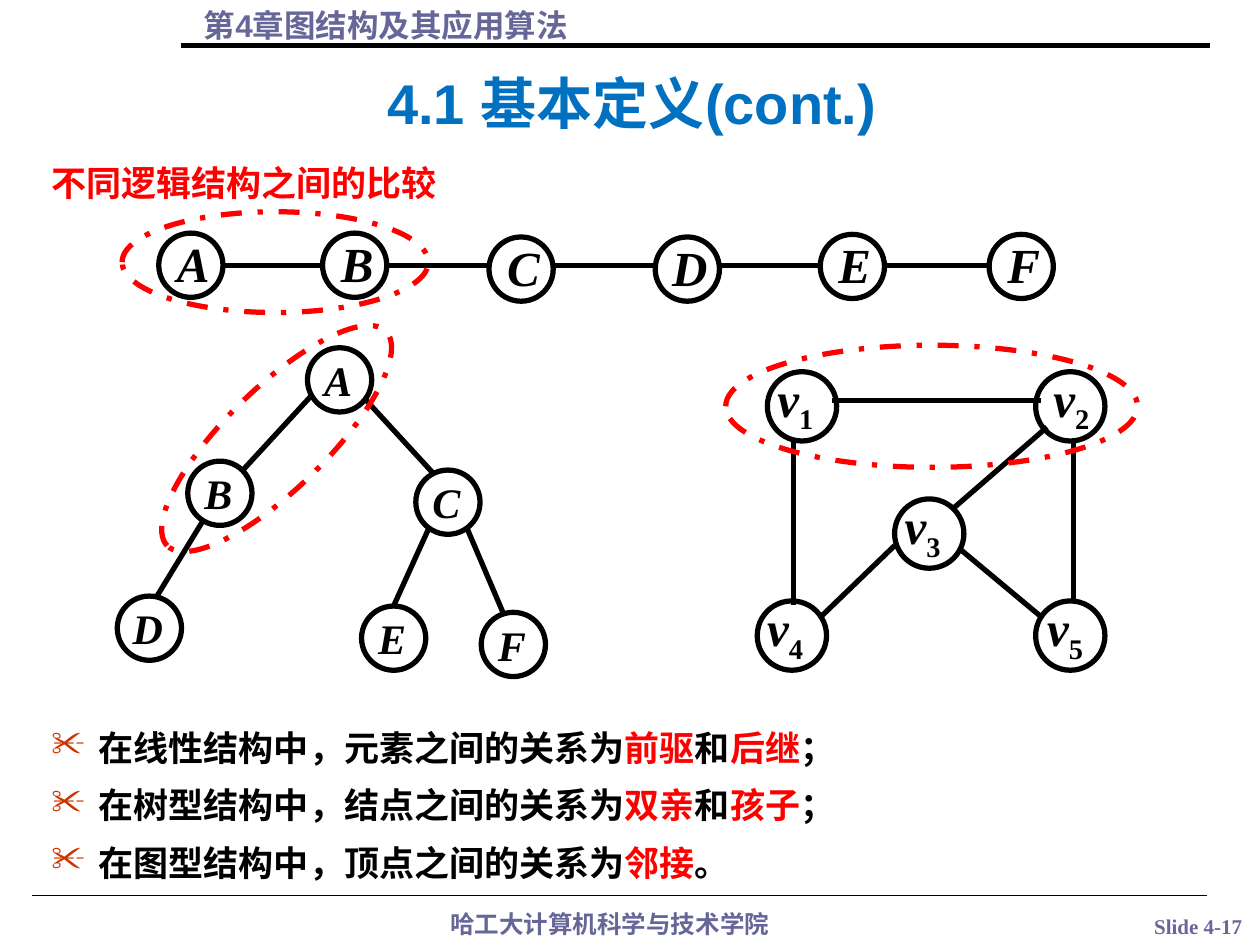
from itertools import pairwise

from lxml.etree import SubElement
from pptx import Presentation
from pptx.dml.color import RGBColor
from pptx.enum.dml import MSO_LINE
from pptx.enum.shapes import MSO_CONNECTOR, MSO_SHAPE
from pptx.enum.text import MSO_ANCHOR, PP_ALIGN
from pptx.oxml.ns import qn
from pptx.util import Pt

BLACK = RGBColor(0x00, 0x00, 0x00)
RED = RGBColor(0xFF, 0x00, 0x00)
BLUE = RGBColor(0x00, 0x70, 0xC0)
SLATE = RGBColor(0x66, 0x66, 0x99)
BULLET = "CC3300"
CJK, SANS, SERIF = "Noto Sans CJK SC", "Arial", "Times New Roman"

# Content
CHAPTER = "第4章图结构及其应用算法"
TITLE = "4.1 基本定义(cont.)"
HEADING = "不同逻辑结构之间的比较"
FOOTER = "哈工大计算机科学与技术学院"
NUMBER = "Slide 4-17"
POINTS = [
    [("在线性结构中，元素之间的关系为", BLACK), ("前驱", RED), ("和", BLACK),
     ("后继", RED), ("；", BLACK)],
    [("在树型结构中，结点之间的关系为", BLACK), ("双亲", RED), ("和", BLACK),
     ("孩子", RED), ("；", BLACK)],
    [("在图型结构中，顶点之间的关系为", BLACK), ("邻接", RED), ("。", BLACK)],
]

# Nodes: name, left, top
NODE_D = 36.7
LIST_NODES = [("A", 90.7, 133.2), ("B", 184.3, 133.2), ("C", 279.4, 135.4),
              ("D", 374.4, 135.4), ("E", 468.7, 133.9), ("F", 565.2, 133.9)]
LIST_LINE_Y = 151.9
TREE_NODES = [("A", 175.7, 198.7), ("B", 107.3, 263.5), ("C", 237.6, 268.6),
              ("D", 67, 340.6), ("E", 206.6, 346.3), ("F", 275, 349.9)]
TREE_EDGES = [(178.6, 225.4, 138.2, 269.3), (208.1, 227.5, 248.4, 271.4),
              (116.6, 296.6, 89.3, 341.3), (244.8, 302.4, 224.6, 347),
              (267.1, 302.4, 288, 351.4)]
# Graph vertices: index, left, top, label shift to the right
VERTEX_D = 39.6
VERTICES = [("1", 438.5, 212.4, 5), ("2", 591.8, 212.4, 9.4), ("3", 511.2, 285.1, 5),
            ("4", 432.7, 343.4, 5), ("5", 591.8, 343.4, 5.8)]
GRAPH_EDGES = [(475.2, 229, 594.7, 229), (453.6, 250.6, 453.6, 345.6),
               (613.4, 251.3, 613.4, 344.2), (598.3, 244.1, 544.3, 290.9),
               (547.9, 313.2, 595.4, 352.8), (511.2, 311.8, 468.7, 352.8)]
# Dashed rings: left, top, width, height, rotation
RINGS = [(69.8, 121, 175, 57.6, 0), (70.6, 221.8, 175, 57.6, 315.6),
         (414.7, 197.3, 235.4, 69.8, 0)]

prs = Presentation()
prs.slide_width, prs.slide_height = Pt(720), Pt(540)
s = prs.slides.add_slide(prs.slide_layouts[6])


def add_box(x, y, w, h, insets=(7.2, 3.6, 7.2, 3.6), wrap=True):
    tf = s.shapes.add_textbox(Pt(x), Pt(y), Pt(w), Pt(h)).text_frame
    tf.word_wrap = wrap
    tf.margin_left, tf.margin_top, tf.margin_right, tf.margin_bottom = map(Pt, insets)
    return tf


def add_run(p, text, size, font, color, italic=False):
    r = p.add_run()
    r.text = text
    r.font.size, r.font.bold, r.font.italic = Pt(size), True, italic
    r.font.color.rgb = color
    r.font.name = font
    if font != SERIF:
        SubElement(r.font._element, qn("a:ea"), typeface=CJK)
        p.line_spacing = Pt(round(size * 1.2, 1))
    return r


def add_line(x1, y1, x2, y2, width=3):
    c = s.shapes.add_connector(MSO_CONNECTOR.STRAIGHT, Pt(x1), Pt(y1), Pt(x2), Pt(y2))
    c.line.color.rgb, c.line.width = BLACK, Pt(width)
    SubElement(c._element.spPr, qn("a:effectLst"))


def add_ellipse(x, y, w, h, color=BLACK):
    sp = s.shapes.add_shape(MSO_SHAPE.OVAL, Pt(x), Pt(y), Pt(w), Pt(h))
    sp.shadow.inherit = False
    sp.fill.background()
    sp.line.color.rgb, sp.line.width = color, Pt(3)
    return sp


def add_nodes(nodes, size, dx, dy):
    for name, x, y in nodes:
        add_ellipse(x, y, NODE_D, NODE_D)
        p = add_box(x + dx, y + dy, 31, 48, (0, 2.9, 0, 0)).paragraphs[0]
        p.alignment = PP_ALIGN.CENTER
        add_run(p, name, size, SERIF, BLACK, italic=True)


# Header, title and footer
add_run(add_box(109.4, 0, 578, 28.8).paragraphs[0], CHAPTER, 18, SANS, SLATE)
add_line(103.7, 25.9, 691.2, 25.9)
add_line(18, 511.9, 689.8, 511.9, 0.75)
for text, box, wrap, size, font, color in [
        (TITLE, (97.9, 33, 526.3, 48.2), True, 32, SANS, BLUE),
        (FOOTER, (218.9, 516.2, 259.2, 24.5), True, 14, CJK, SLATE),
        (NUMBER, (631.4, 518.4, 106.6, 21.6), False, 12, SERIF, SLATE)]:
    tf = add_box(*box, wrap=wrap)
    tf.vertical_anchor = MSO_ANCHOR.BOTTOM if text == TITLE else MSO_ANCHOR.TOP
    tf.paragraphs[0].alignment = PP_ALIGN.CENTER
    add_run(tf.paragraphs[0], text, size, font, color)

# Heading and bullet points
add_run(add_box(22.3, 89, 685, 32).paragraphs[0], HEADING, 20, SANS, RED)
tf = add_box(22.3, 411.5, 685, 97)
for i, parts in enumerate(POINTS):
    p = tf.add_paragraph() if i else tf.paragraphs[0]
    pPr = p._p.get_or_add_pPr()
    pPr.set("marL", str(Pt(27)))
    pPr.set("indent", str(-Pt(27)))
    SubElement(SubElement(pPr, qn("a:buClr")), qn("a:srgbClr"), val=BULLET)
    SubElement(pPr, qn("a:buChar"), char="✂")
    if i:
        p.space_before = Pt(8.8)
    for text, color in parts:
        add_run(p, text, 20, SANS, color)

# Linear list
add_nodes(LIST_NODES, 28, 4.3, -2.7)
for (_, x1, _), (_, x2, _) in pairwise(LIST_NODES):
    add_line(x1 + NODE_D, LIST_LINE_Y, x2, LIST_LINE_Y)

# Tree and graph
for edge in TREE_EDGES + GRAPH_EDGES:
    add_line(*edge)
add_nodes(TREE_NODES, 24, 2, 1)
for index, x, y, dx in VERTICES:
    add_ellipse(x, y, VERTEX_D, VERTEX_D)
    p = add_box(x + dx, y - 4, 36.7, 46.8, (0.7, 2.2, 0, 0.7)).paragraphs[0]
    add_run(p, "v", 28, SERIF, BLACK, italic=True)
    r = add_run(p, index, 28, SERIF, BLACK)
    r.font._element.set("baseline", "-25000")

# Dashed rings around related pairs
for *box, angle in RINGS:
    ring = add_ellipse(*box, color=RED)
    ring.line.dash_style = MSO_LINE.DASH_DOT
    ring.rotation = angle

prs.save("out.pptx")
